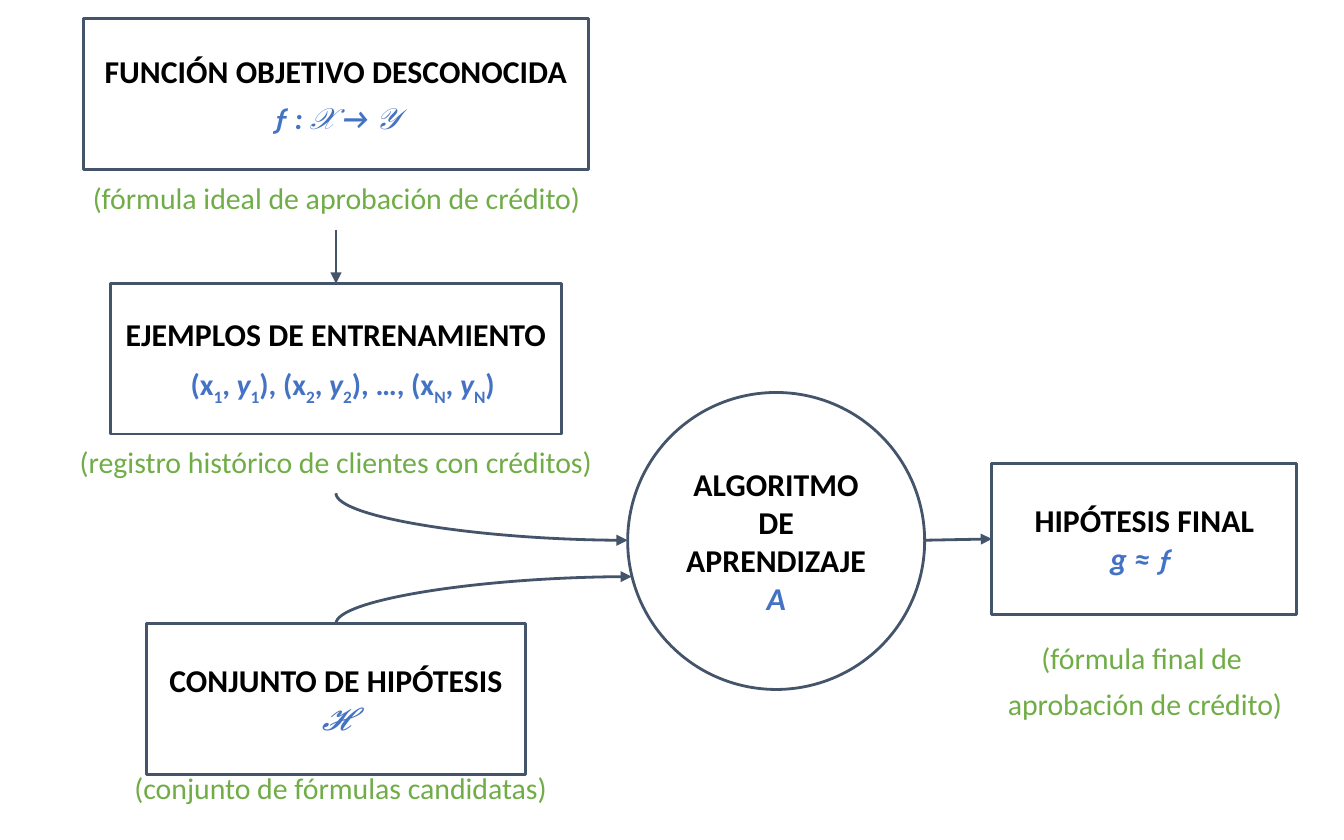
from pptx import Presentation
from pptx.dml.color import RGBColor as RGB
from pptx.enum.shapes import MSO_CONNECTOR as LINK, MSO_SHAPE as FORM
from pptx.enum.text import MSO_ANCHOR as ANCHOR, MSO_AUTO_SIZE as AUTO, PP_ALIGN as ALIGN
from pptx.oxml.ns import qn
from pptx.util import Pt
from lxml import etree

UNIT = 9144  # EMU in one px, at 100 px to the inch
MID = 250    # axis of the left column


def px(num):
    return int(num * UNIT)


def hue(code):
    return RGB.from_string(code)


class Board:
    font = "Calibri"
    white, black = "FFFFFF", "000000"
    edge, math, note = "44546A", "4472C4", "70AD47"

    def __init__(self, slide):
        self.slide = slide

    def frame(self, shape, anchor):
        text = shape.text_frame
        text.word_wrap = True
        text.vertical_anchor = anchor
        text.margin_left = text.margin_right = px(10)
        text.margin_top = text.margin_bottom = px(10)
        return text

    def para(self, text, first=False, tight=False):
        para = text.paragraphs[0] if first else text.add_paragraph()
        para.alignment = ALIGN.CENTER
        if tight:
            para.line_spacing = 0.9
            if not first:
                para.space_before = Pt(7.5)
        return para

    def run(self, para, words, size, color, bold=True, slant=False, sub=False):
        run = para.add_run()
        run.text = words
        font = run.font
        font.name, font.size, font.bold, font.italic = self.font, Pt(size), bold, slant
        font.color.rgb = hue(color)
        if sub:
            run._r.get_or_add_rPr().set("baseline", "-25000")

    def node(self, form, left, top, width, height, title, tight=False):
        """Draw an outlined shape; return it with the paragraph under its title."""
        shape = self.slide.shapes.add_shape(form, px(left), px(top), px(width), px(height))
        shape.shadow.inherit = False
        shape.fill.solid()
        shape.fill.fore_color.rgb = hue(self.white)
        shape.line.color.rgb = hue(self.edge)
        shape.line.width = Pt(1.5)
        text = self.frame(shape, ANCHOR.MIDDLE)
        self.run(self.para(text, first=True), title, 17, self.black)
        return shape, self.para(text, tight=tight)

    def label(self, left, top, width, height, *lines):
        box = self.slide.shapes.add_textbox(px(left), px(top), px(width), px(height))
        text = self.frame(box, ANCHOR.TOP)
        text.auto_size = AUTO.SHAPE_TO_FIT_TEXT
        for pos, line in enumerate(lines):
            self.run(self.para(text, pos == 0, tight=True), line, 16, self.note, bold=False)

    def arrow(self, x1, y1, x2, y2, kind=LINK.STRAIGHT):
        link = self.slide.shapes.add_connector(kind, px(x1), px(y1), px(x2), px(y2))
        link.line.color.rgb = hue(self.edge)
        link.line.width = Pt(1.5)
        etree.SubElement(link.line._get_or_add_ln(), qn("a:tailEnd"), type="triangle")
        etree.SubElement(link._element.spPr, qn("a:effectLst"))
        return link

    def bend(self, x1, y1, x2, y2):
        """Draw a quarter curve that leaves vertically and arrives from the left."""
        link = self.arrow(x1, y1, x2, y2, LINK.CURVE)
        wide, high = x2 - x1, abs(y2 - y1)
        link.left, link.top = px((x1 + x2 - high) / 2), px((y1 + y2 - wide) / 2)
        link.width, link.height = px(high), px(wide)
        props = link._element.spPr
        props.find(qn("a:prstGeom")).set("prst", "curvedConnector2")
        turn = props.find(qn("a:xfrm"))
        turn.set("rot", str(270 * 60000))
        turn.set("flipH", "1" if y2 > y1 else "0")
        turn.set("flipV", "0")


def main():
    deck = Presentation()
    deck.slide_width, deck.slide_height = px(1000), px(625)
    board = Board(deck.slides.add_slide(deck.slide_layouts[6]))
    blue, rect, tall = board.math, FORM.RECTANGLE, 112

    def block(top, width, title, tight=False):
        return board.node(rect, MID - width // 2, top, width, tall, title, tight)

    _, para = block(14, 376, "FUNCIÓN OBJETIVO DESCONOCIDA", True)
    board.run(para, "ƒ : 𝒳 → 𝒴", 16, blue, slant=True)

    data, para = block(211, 336, "EJEMPLOS DE ENTRENAMIENTO", True)
    para.alignment = ALIGN.LEFT
    props = para._p.get_or_add_pPr()
    props.set("marL", str(px(50)))
    props.set("indent", "0")
    for lead, mark in (("(x", "1"), ("), (x", "2"), ("), …, (x", "N")):
        board.run(para, lead, 16, blue)
        board.run(para, mark, 16, blue, sub=True)
        board.run(para, ", ", 16, blue)
        board.run(para, "y", 16, blue, slant=True)
        board.run(para, mark, 16, blue, sub=True)
    board.run(para, ")", 16, blue)

    _, para = block(464, 282, "CONJUNTO DE HIPÓTESIS")
    board.run(para, "𝓗", 17, blue, slant=True)

    final, para = board.node(rect, 738, 345, 227, tall, "HIPÓTESIS FINAL")
    board.run(para, "g ≈ ", 17, blue, slant=True)
    board.run(para, "ƒ ", 16, blue, slant=True)

    _, para = board.node(FORM.OVAL, 467, 292, 221, 221, "ALGORITMO DE APRENDIZAJE")
    board.run(para, "A", 17, blue, slant=True)

    board.label(55, 127, 391, 44, "(fórmula ideal de aprobación de crédito)")
    board.label(42, 323, 416, 44, "(registro histórico de clientes con créditos)")
    board.label(58, 566, 391, 44, "(conjunto de fórmulas candidatas)")
    board.label(719, 469, 266, 79, "(fórmula final de ", "aprobación de crédito)")

    board.arrow(MID, 171, MID, 211).end_connect(data, 0)
    board.bend(MID, 367, 467, 402)
    board.bend(MID, 464, 470, 429)
    board.arrow(688, 402, 738, 401).end_connect(final, 1)

    deck.save("out.pptx")


if __name__ == "__main__":
    main()
